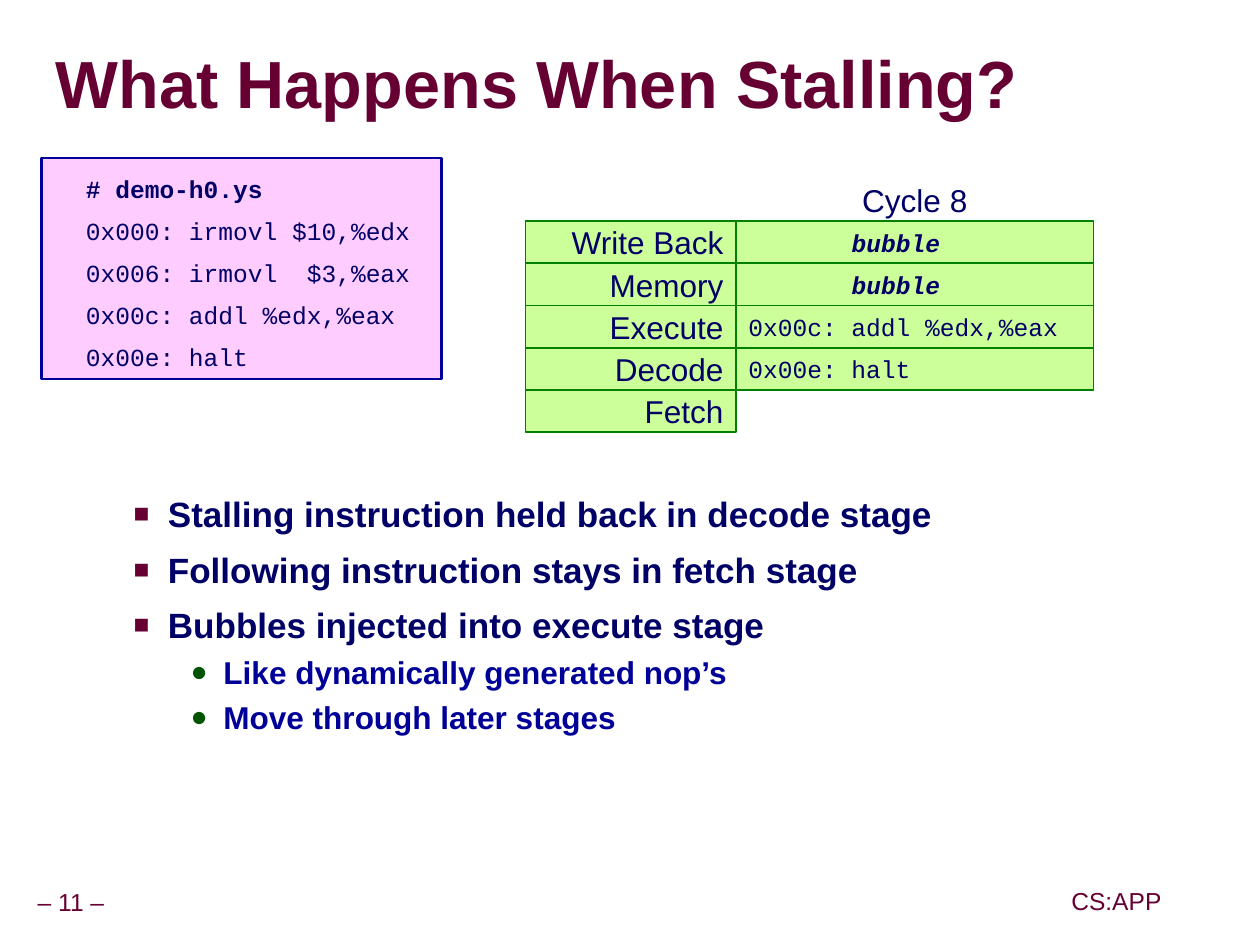
from dataclasses import dataclass

from lxml import etree
from pptx import Presentation
from pptx.dml.color import RGBColor
from pptx.enum.shapes import MSO_SHAPE
from pptx.enum.text import MSO_ANCHOR, MSO_AUTO_SIZE, PP_ALIGN
from pptx.oxml.ns import qn
from pptx.util import Cm, Pt

RECTANGLE = MSO_SHAPE.RECTANGLE
TOP, MIDDLE = MSO_ANCHOR.TOP, MSO_ANCHOR.MIDDLE
LEFT, CENTER, RIGHT = PP_ALIGN.LEFT, PP_ALIGN.CENTER, PP_ALIGN.RIGHT
NO_AUTOFIT = MSO_AUTO_SIZE.NONE


@dataclass(frozen=True)
class Theme:
    sans: str = "Arial"
    mono: str = "Courier New"
    maroon: str = "660033"
    navy: str = "000066"
    blue: str = "000099"
    bullet_green: str = "005400"
    shadow_gray: str = "969696"
    code_fill: str = "FFCCFF"
    stage_fill: str = "CCFF99"
    stage_line: str = "008000"
    title_size: float = 38
    point_size: float = 20
    label_size: float = 18
    small_size: float = 14


@dataclass(frozen=True)
class BulletLevel:
    symbol: str
    symbol_color: str
    symbol_percent: int
    margin: float
    hanging: float
    space_before: float
    size: float
    color: str


class SlideBuilder:
    def __init__(self, slide, theme):
        self.slide = slide
        self.theme = theme

    def format_runs(self, paragraph, size, color, font=None, bold=False, italic=False):
        for run in paragraph.runs:
            run.font.size = Pt(size)
            run.font.name = font or self.theme.sans
            run.font.bold = bold
            run.font.italic = italic
            run.font.color.rgb = RGBColor.from_string(color)

    def set_frame(self, frame, anchor=MIDDLE, left=0.25, top=0.13, right=0.25, bottom=0.13):
        frame.word_wrap = True
        frame.auto_size = NO_AUTOFIT
        frame.vertical_anchor = anchor
        frame.margin_left, frame.margin_right = Cm(left), Cm(right)
        frame.margin_top, frame.margin_bottom = Cm(top), Cm(bottom)

    def place(self, shape, left, top, width, height):
        shape.left, shape.top = Cm(left), Cm(top)
        shape.width, shape.height = Cm(width), Cm(height)

    def title(self, text, *place):
        title = self.slide.shapes.title
        self.place(title, *place)
        self.set_frame(title.text_frame, left=0, top=0, right=0, bottom=0)
        title.text_frame.text = text
        heading = title.text_frame.paragraphs[0]
        heading.alignment = LEFT
        heading.line_spacing = 0.87
        self.format_runs(heading, self.theme.title_size, self.theme.maroon, bold=True)
        # Text shadow sits right after the fill in the run properties
        properties = heading.runs[0].font._element
        effects = etree.Element(qn("a:effectLst"))
        shadow = etree.SubElement(effects, qn("a:outerShdw"),
                                  dist="38100", dir="2700000", algn="tl")
        etree.SubElement(shadow, qn("a:srgbClr"), val=self.theme.shadow_gray)
        properties.find(qn("a:solidFill")).addnext(effects)

    def bullets(self, points, levels, *place):
        body = self.slide.placeholders[1]
        self.place(body, *place)
        frame = body.text_frame
        self.set_frame(frame, anchor=TOP)
        frame.text = "\n".join(text for _, text in points)
        for index, (paragraph, (depth, _)) in enumerate(zip(frame.paragraphs, points)):
            level = levels[depth]
            paragraph.level = depth
            paragraph.alignment = LEFT
            paragraph.line_spacing = 1.07
            paragraph.space_before = Pt(level.space_before if index else 0)
            properties = paragraph._p.get_or_add_pPr()
            properties.set("marL", str(Cm(level.margin)))
            properties.set("indent", str(-Cm(level.hanging)))
            bullet_color = etree.SubElement(properties, qn("a:buClr"))
            etree.SubElement(bullet_color, qn("a:srgbClr"), val=level.symbol_color)
            etree.SubElement(properties, qn("a:buSzPct"), val=str(level.symbol_percent * 1000))
            etree.SubElement(properties, qn("a:buFont"), typeface=self.theme.sans)
            etree.SubElement(properties, qn("a:buChar"), char=level.symbol)
            self.format_runs(paragraph, level.size, level.color, bold=True)

    def label(self, text, size, color, *place):
        box = self.slide.shapes.add_textbox(*map(Cm, place))
        self.set_frame(box.text_frame)
        box.text_frame.text = text
        caption = box.text_frame.paragraphs[0]
        caption.alignment = CENTER
        self.format_runs(caption, size, color)

    def box(self, fill, line, line_width, *place):
        box = self.slide.shapes.add_shape(RECTANGLE, *map(Cm, place))
        box.shadow.inherit = False
        box.fill.solid()
        box.fill.fore_color.rgb = RGBColor.from_string(fill)
        box.line.color.rgb = RGBColor.from_string(line)
        box.line.width = Pt(line_width)
        return box

    def code_panel(self, heading, code, line_pitch, *place):
        panel = self.box(self.theme.code_fill, self.theme.blue, 1.5, *place)
        self.set_frame(panel.text_frame, anchor=TOP, left=0.89, top=0.07, right=0, bottom=0)
        panel.text_frame.text = "\n".join([heading, *code])
        for index, line in enumerate(panel.text_frame.paragraphs):
            line.alignment = LEFT
            line.line_spacing = Pt(line_pitch)
            self.format_runs(line, self.theme.small_size, self.theme.navy,
                             self.theme.mono, bold=index == 0)

    def stage_cell(self, text, alignment, text_style, text_left, *place):
        cell = self.box(self.theme.stage_fill, self.theme.stage_line, 1, *place)
        self.set_frame(cell.text_frame, left=text_left)
        cell.text_frame.text = text
        content = cell.text_frame.paragraphs[0]
        content.alignment = alignment
        self.format_runs(content, color=self.theme.navy, **text_style)


def main():
    theme = Theme()
    deck = Presentation()
    deck.slide_width, deck.slide_height = Cm(25.37), Cm(19.02)
    builder = SlideBuilder(deck.slides.add_slide(deck.slide_layouts[1]), theme)

    # Title
    builder.title("What Happens When Stalling?", 1.12, 0.69, 24.18, 2.16)

    # Assembly listing
    builder.code_panel(
        "# demo-h0.ys",
        ["0x000: irmovl $10,%edx", "0x006: irmovl  $3,%eax",
         "0x00c: addl %edx,%eax", "0x00e: halt"],
        24, 0.84, 3.18, 8.05, 4.45)

    # Pipeline stages and the instruction each one holds
    stages = [("Write Back", "bubble"), ("Memory", "bubble"),
              ("Execute", "0x00c: addl %edx,%eax"), ("Decode", "0x00e: halt"),
              ("Fetch", None)]
    grid_left, grid_top, row_height = 10.58, 4.45, 0.85
    stage_width, instruction_width = 4.24, 7.2
    instruction_left = grid_left + stage_width
    name_style = {"size": theme.label_size}
    code_style = {"size": theme.small_size, "font": theme.mono}
    bubble_style = {**code_style, "bold": True, "italic": True}

    builder.label("Cycle 8", theme.label_size, theme.navy, instruction_left,
                  grid_top - row_height, instruction_width, row_height)
    for row, (stage, instruction) in enumerate(stages):
        row_top = grid_top + row * row_height
        if instruction:
            is_bubble = instruction == "bubble"
            builder.stage_cell(instruction, LEFT,
                               bubble_style if is_bubble else code_style,
                               2.33 if is_bubble else 0.25,
                               instruction_left, row_top, instruction_width, row_height)
        builder.stage_cell(stage, RIGHT, name_style, 0.25,
                           grid_left, row_top, stage_width, row_height)

    # Key points
    levels = {
        1: BulletLevel("■", theme.maroon, 75, 2.06, 0.69, 6, theme.point_size, theme.navy),
        2: BulletLevel("●", theme.bullet_green, 90, 3.18, 0.66, 2.5,
                       theme.label_size, theme.blue),
    }
    points = [(1, "Stalling instruction held back in decode stage"),
              (1, "Following instruction stays in fetch stage"),
              (1, "Bubbles injected into execute stage"),
              (2, "Like dynamically generated nop’s"),
              (2, "Move through later stages")]
    builder.bullets(points, levels, 1.07, 9.73, 23.04, 7.19)

    # Footer
    builder.label("– 11 –", theme.small_size, theme.maroon, 0.25, 17.75, 2.36, 0.79)
    builder.label("CS:APP", theme.small_size, theme.maroon, 21.19, 17.73, 2.58, 0.79)

    deck.save("out.pptx")


if __name__ == "__main__":
    main()
